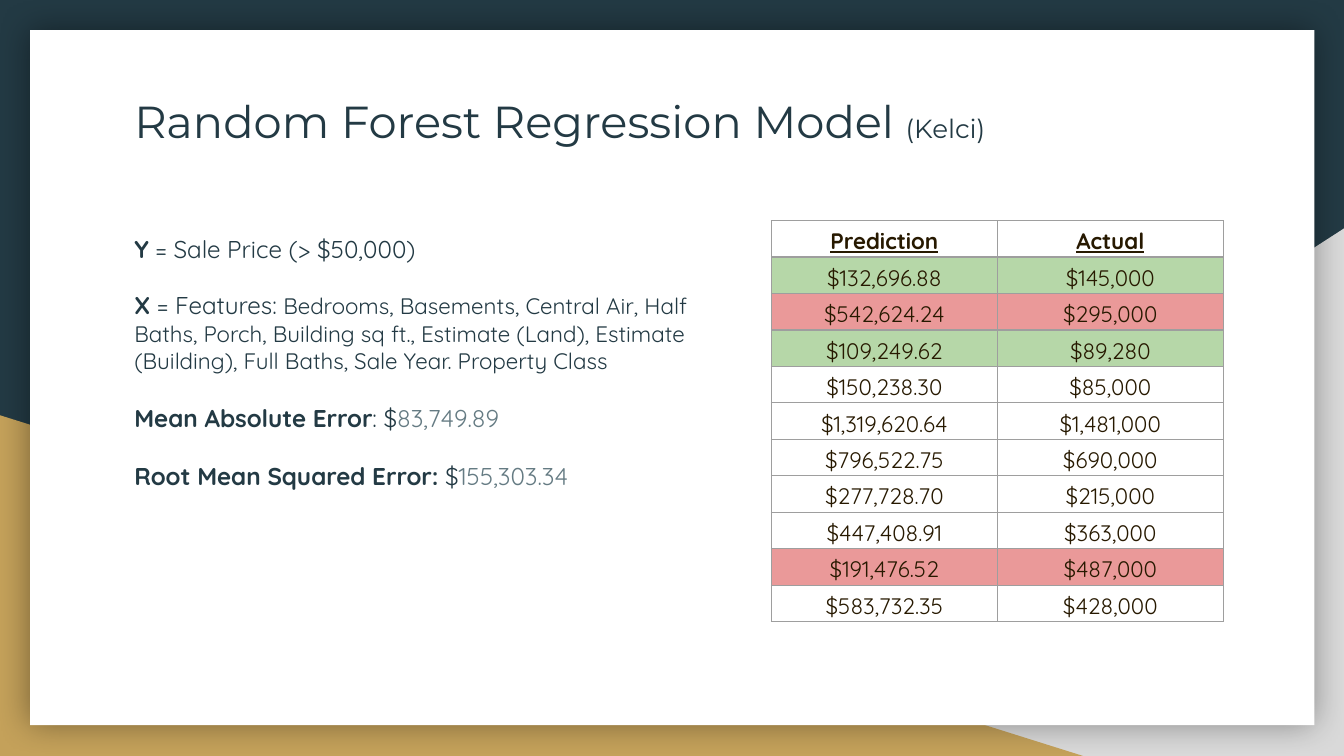
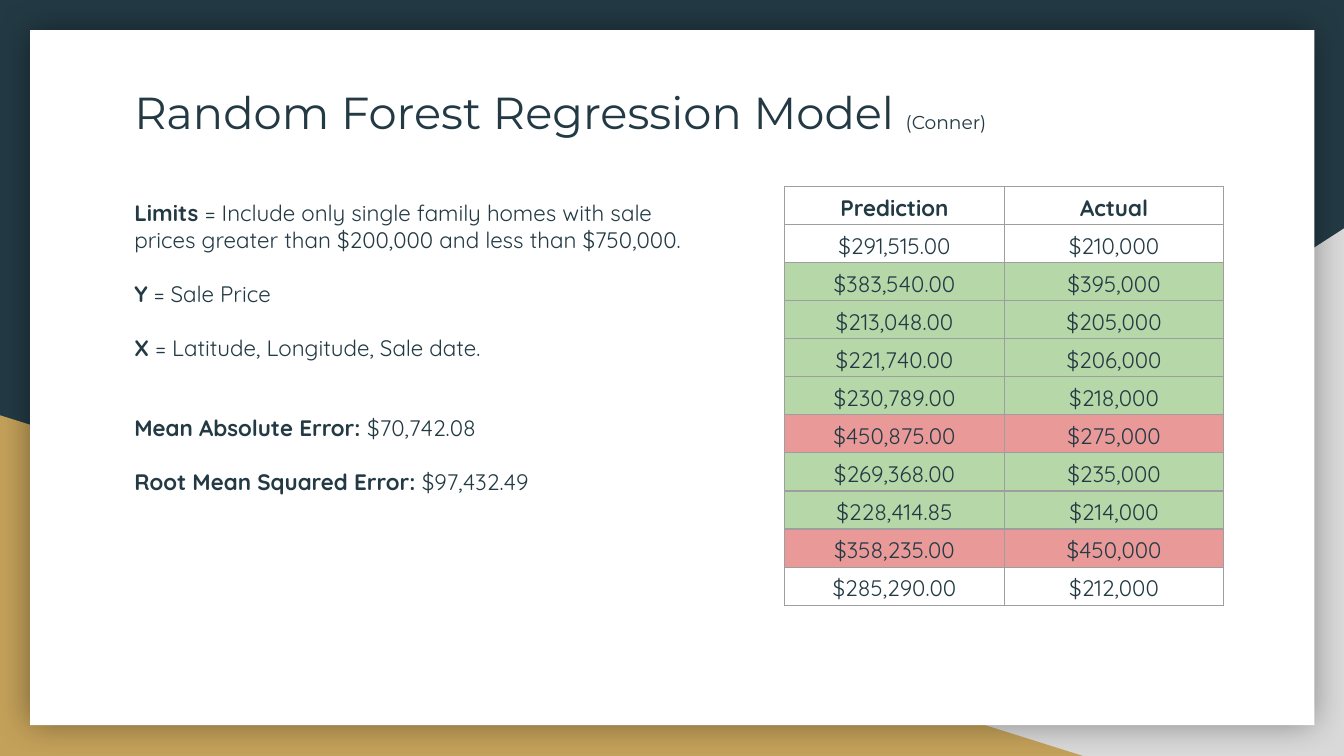
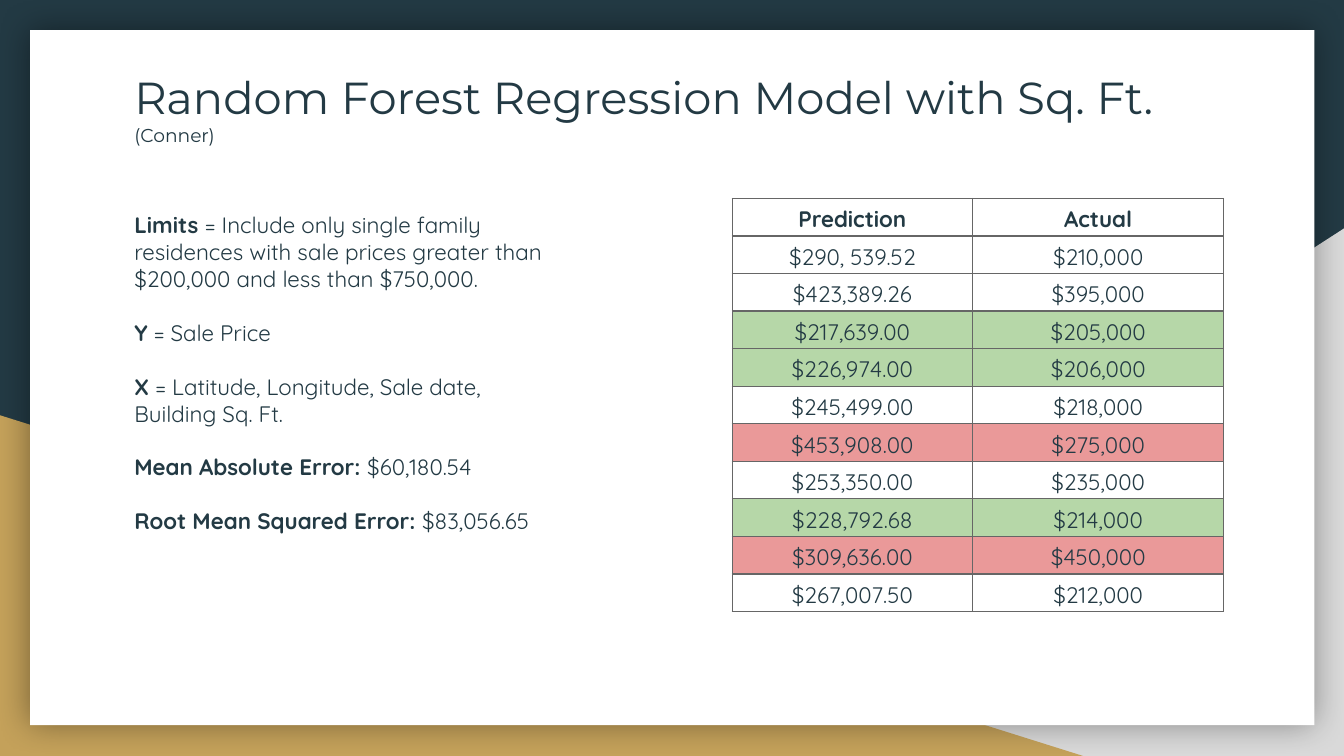
from lxml import etree
from pptx import Presentation
from pptx.dml.color import RGBColor
from pptx.enum.shapes import MSO_SHAPE
from pptx.enum.text import MSO_ANCHOR, PP_ALIGN
from pptx.oxml import parse_xml
from pptx.oxml.ns import nsdecls, qn
from pptx.util import Cm, Pt

TRIANGLE, RECTANGLE = MSO_SHAPE.RIGHT_TRIANGLE, MSO_SHAPE.RECTANGLE
CENTER, BOTTOM = PP_ALIGN.CENTER, MSO_ANCHOR.BOTTOM

NAVY = RGBColor(0x23, 0x3A, 0x44)
GOLD = RGBColor(0xC4, 0xA1, 0x5A)
SILVER = RGBColor(0xD9, 0xD9, 0xD9)
WHITE = RGBColor(0xFF, 0xFF, 0xFF)
SLATE = RGBColor(0x65, 0x7B, 0x83)
BROWN = RGBColor(0x27, 0x19, 0x00)
GREEN = RGBColor(0xB6, 0xD7, 0xA8)
RED = RGBColor(0xEA, 0x99, 0x99)
GREY = RGBColor(0x9E, 0x9E, 0x9E)
DARK_GREY = RGBColor(0x66, 0x66, 0x66)

HEADING_FONT, BODY_FONT = "Montserrat", "Quicksand"
LEFT = Cm(2.29)
INSET = Cm(0.25)
LINE = 1.2  # line height relative to the text size

# Backdrop: preset, left, top, width, height, colour, mirrored
BACKDROP = [
    (TRIANGLE, 9.96, 4.32, 15.44, 9.97, SILVER, True),
    (TRIANGLE, 0, 7.85, 20.47, 6.44, GOLD, False),
    (RECTANGLE, 0.57, 0.57, 24.27, 13.14, WHITE, False),
]
CARD_SHADOW = (
    f'<a:effectLst {nsdecls("a")}><a:outerShdw blurRad="228600" dist="0" dir="0" algn="ctr" '
    'rotWithShape="0"><a:srgbClr val="000000"><a:alpha val="40000"/></a:srgbClr>'
    "</a:outerShdw></a:effectLst>"
)

# Each note is (blank lines before it, line size, runs);
# each run is (text, bold, size, colour)
MODELS = [
    {
        "title": "Random Forest Regression Model ", "author": "(Kelci)", "author_size": 14,
        "title_top": 1.52, "title_height": 2.64,
        "notes_box": (4.17, 11.33, 7.65), "note_size": 13,
        "notes": [
            (0, 13, [("Y", True, 13, NAVY), (" = Sale Price (> $50,000)", False, 13, NAVY)]),
            (1, 12.2, [("X ", True, 13, NAVY), ("= Features: ", False, 13, NAVY),
                       ("Bedrooms, Basements, Central Air, Half Baths, Porch, Building sq ft., "
                        "Estimate (Land), Estimate (Building), Full Baths, Sale Year. "
                        "Property Class", False, 12, NAVY)]),
            (1, 13, [("Mean Absolute Error", True, 13, NAVY), (": $", False, 13, NAVY),
                     ("83,749.89", False, 13, SLATE)]),
            (1, 13, [("Root Mean Squared Error: ", True, 13, NAVY), ("$", False, 13, NAVY),
                     ("155,303.34", False, 13, SLATE)]),
        ],
        "table_at": (14.58, 4.17), "columns": (4.27, 4.27), "row_height": 0.69,
        "ink": BROWN, "border": GREY, "underline": True,
        "sales": [
            ("$132,696.88", "$145,000", GREEN), ("$542,624.24", "$295,000", RED),
            ("$109,249.62", "$89,280", GREEN), ("$150,238.30", "$85,000", None),
            ("$1,319,620.64", "$1,481,000", None), ("$796,522.75", "$690,000", None),
            ("$277,728.70", "$215,000", None), ("$447,408.91", "$363,000", None),
            ("$191,476.52", "$487,000", RED), ("$583,732.35", "$428,000", None),
        ],
    },
    {
        "title": "Random Forest Regression Model ", "author": "(Conner)", "author_size": 10,
        "title_top": 1.35, "title_height": 1.27,
        "notes_box": (3.52, 11.35, 6.68), "note_size": 12,
        "notes": [
            (0, 12, [("Limits ", True, 12, NAVY),
                     ("= Include only single family homes with sale prices greater than "
                      "$200,000 and less than $750,000.", False, 12, NAVY)]),
            (1, 12, [("Y", True, 12, NAVY), (" = Sale Price", False, 12, NAVY)]),
            (1, 12, [("X ", True, 12, NAVY),
                     ("= Latitude, Longitude, Sale date.", False, 12, NAVY)]),
            (2, 12, [("Mean Absolute Error: ", True, 12, NAVY),
                     ("$70,742.08", False, 12, NAVY)]),
            (1, 12, [("Root Mean Squared Error:", True, 12, NAVY),
                     (" $97,432.49", False, 12, NAVY)]),
        ],
        "table_at": (14.83, 3.52), "columns": (4.15, 4.15), "row_height": 0.72,
        "ink": NAVY, "border": GREY, "underline": False,
        "sales": [
            ("$291,515.00", "$210,000", None), ("$383,540.00", "$395,000", GREEN),
            ("$213,048.00", "$205,000", GREEN), ("$221,740.00", "$206,000", GREEN),
            ("$230,789.00", "$218,000", GREEN), ("$450,875.00", "$275,000", RED),
            ("$269,368.00", "$235,000", GREEN), ("$228,414.85", "$214,000", GREEN),
            ("$358,235.00", "$450,000", RED), ("$285,290.00", "$212,000", None),
        ],
    },
    {
        "title": "Random Forest Regression Model with Sq. Ft. ", "author": "(Conner)",
        "author_size": 10, "title_top": 1.07, "title_height": 2.24,
        "notes_box": (3.75, 8.33, 7.19), "note_size": 12,
        "notes": [
            (0, 12, [("Limits ", True, 12, NAVY),
                     ("= Include only single family residences with sale prices greater than "
                      "$200,000 and less than $750,000.", False, 12, NAVY)]),
            (1, 12, [("Y", True, 12, NAVY), (" = Sale Price", False, 12, NAVY)]),
            (1, 12, [("X ", True, 12, NAVY),
                     ("= Latitude, Longitude, Sale date, Building Sq. Ft.", False, 12, NAVY)]),
            (1, 12, [("Mean Absolute Error: ", True, 12, NAVY),
                     ("$60,180.54", False, 12, NAVY)]),
            (1, 12, [("Root Mean Squared Error: ", True, 12, NAVY),
                     ("$83,056.65", False, 12, NAVY)]),
        ],
        "table_at": (13.84, 3.75), "columns": (4.54, 4.75), "row_height": 0.71,
        "ink": NAVY, "border": DARK_GREY, "underline": False,
        "sales": [
            ("$290, 539.52", "$210,000", None), ("$423,389.26", "$395,000", None),
            ("$217,639.00", "$205,000", GREEN), ("$226,974.00", "$206,000", GREEN),
            ("$245,499.00", "$218,000", None), ("$453,908.00", "$275,000", RED),
            ("$253,350.00", "$235,000", None), ("$228,792.68", "$214,000", GREEN),
            ("$309,636.00", "$450,000", RED), ("$267,007.50", "$212,000", None),
        ],
    },
]


def add_text_frame(slide, top, width, height):
    frame = slide.shapes.add_textbox(LEFT, Cm(top), Cm(width), Cm(height)).text_frame
    frame.word_wrap = True
    frame.margin_left = frame.margin_right = INSET
    frame.margin_top = frame.margin_bottom = INSET
    return frame


def add_run(paragraph, text, font_name, size, colour, bold=False):
    run = paragraph.add_run()
    run.text = text
    run.font.name = font_name
    run.font.size = Pt(size)
    run.font.bold = bold
    run.font.color.rgb = colour
    return run


prs = Presentation()
prs.slide_width, prs.slide_height = Cm(25.4), Cm(14.29)

for model in MODELS:
    slide = prs.slides.add_slide(prs.slide_layouts[6])
    slide.background.fill.solid()
    slide.background.fill.fore_color.rgb = NAVY

    # Corner triangles and the white card, which alone casts a shadow
    for preset, left, top, width, height, colour, mirrored in BACKDROP:
        panel = slide.shapes.add_shape(preset, Cm(left), Cm(top), Cm(width), Cm(height))
        panel.fill.solid()
        panel.fill.fore_color.rgb = colour
        panel.line.fill.background()
        if mirrored:
            panel._element.spPr.find(qn("a:xfrm")).set("flipH", "1")
        if preset == RECTANGLE:
            panel._element.spPr.append(parse_xml(CARD_SHADOW))
        else:
            panel.shadow.inherit = False

    # Title with its author
    heading = add_text_frame(slide, model["title_top"], 20.85, model["title_height"]).paragraphs[0]
    add_run(heading, model["title"], HEADING_FONT, 24, NAVY)
    add_run(heading, model["author"], HEADING_FONT, model["author_size"], NAVY)

    # Predictions against actual prices
    rows = [("Prediction", "Actual", None)] + model["sales"]
    columns = model["columns"]
    left, top = model["table_at"]
    prices = slide.shapes.add_table(
        len(rows), len(columns), Cm(left), Cm(top),
        Cm(sum(columns)), Cm(model["row_height"] * len(rows))).table
    prices.first_row = prices.horz_banding = False
    for column, width in zip(prices.columns, columns):
        column.width = Cm(width)
    for r, (*amounts, shade) in enumerate(rows):
        prices.rows[r].height = Cm(model["row_height"])
        for c, amount in enumerate(amounts):
            cell = prices.cell(r, c)
            cell.vertical_anchor = BOTTOM
            cell.margin_left = cell.margin_right = Cm(0.08)
            cell.margin_top = cell.margin_bottom = Cm(0.05)
            if shade is None:
                cell.fill.background()
            else:
                cell.fill.solid()
                cell.fill.fore_color.rgb = shade
            paragraph = cell.text_frame.paragraphs[0]
            paragraph.alignment = CENTER
            paragraph.line_spacing = 1.15
            run = add_run(paragraph, amount, BODY_FONT, 12, model["ink"], bold=r == 0)
            if r == 0 and model["underline"]:
                run.font.underline = True

            # Borders come before the fill in the cell properties
            properties = cell._tc.get_or_add_tcPr()
            for position, side in enumerate(("lnL", "lnR", "lnT", "lnB")):
                border = etree.Element(qn(f"a:{side}"), w=str(Pt(0.75)))
                solid = etree.SubElement(border, qn("a:solidFill"))
                etree.SubElement(solid, qn("a:srgbClr"), val=str(model["border"]))
                properties.insert(position, border)

    # Target, features and errors of the model
    notes = add_text_frame(slide, *model["notes_box"])
    for n, (blank_lines, line_size, runs) in enumerate(model["notes"]):
        paragraph = notes.paragraphs[0] if n == 0 else notes.add_paragraph()
        paragraph.line_spacing = Pt(line_size * LINE)
        if n:
            paragraph.space_before = Pt(blank_lines * model["note_size"] * LINE)
        for text, bold, size, colour in runs:
            add_run(paragraph, text, BODY_FONT, size, colour, bold)

prs.save("out.pptx")
